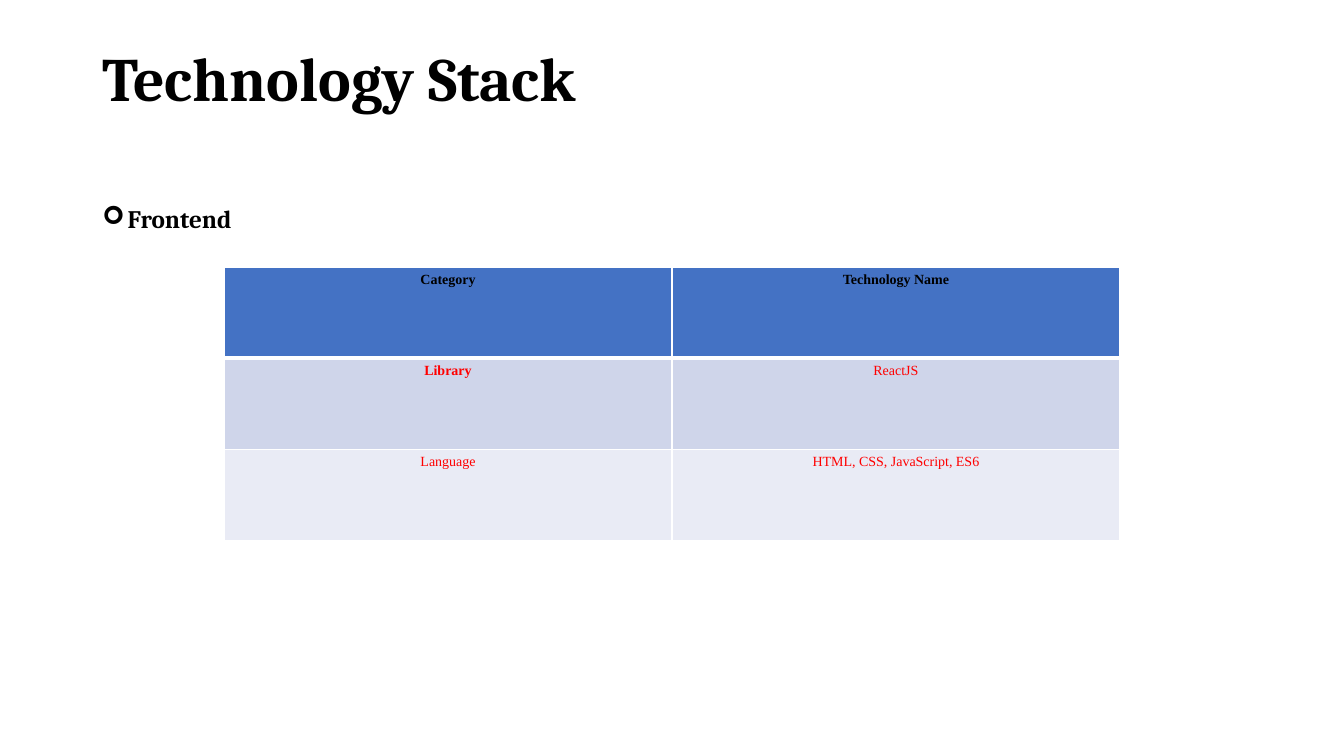
"""Build the Technology Stack slide with its frontend table."""
from lxml.etree import SubElement as Sub
from pptx import Presentation
from pptx.dml.color import RGBColor
from pptx.enum.text import MSO_ANCHOR as Anchor, MSO_AUTO_SIZE as Fit, PP_ALIGN as Align
from pptx.oxml.ns import qn
from pptx.util import Pt

TITLE = "Technology Stack"
TOPIC = "Frontend"
ROWS = [
    ("Category", "Technology Name"),
    ("Library", "ReactJS"),
    ("Language", "HTML, CSS, JavaScript, ES6"),
]
FILLS = ["4472C4", "CFD5EA", "E9EBF5"]
INKS = ["000000", "FF0000", "FF0000"]
BOLD = {"Category", "Technology Name", "Library"}

HEAD = (66, 28.8, 828, 104.4)
BODY = (66, 144, 828, 342.75)
GRID = (160, 190.8, 640, 195)
INSET = 2.9


def put(item, **vals):
    for key, val in vals.items():
        setattr(item, key, val)


def color(code):
    return RGBColor.from_string(code)


def place(shape, box):
    put(shape, **dict(zip(("left", "top", "width", "height"), map(Pt, box))))


def write(frame, text, name, size, ink, bold, **form):
    frame.text = text
    para = frame.paragraphs[0]
    put(para, space_before=Pt(0), **form)
    font = para.runs[0].font
    put(font, name=name, size=Pt(size), bold=bold)
    font.color.rgb = color(ink)
    return para


def edge(cell, side, width):
    line = Sub(cell._tc.get_or_add_tcPr(), qn(f"a:ln{side}"), w=str(Pt(width)))
    Sub(Sub(line, qn("a:solidFill")), qn("a:srgbClr"), val="FFFFFF")


def heads(slide):
    title, body = slide.shapes.title, slide.placeholders[1]
    place(title, HEAD)
    place(body, BODY)
    put(title.text_frame, auto_size=Fit.NONE, word_wrap=True,
        vertical_anchor=Anchor.TOP, margin_top=Pt(5.7))
    put(body.text_frame, auto_size=Fit.NONE, word_wrap=True, vertical_anchor=Anchor.TOP)
    form = dict(alignment=Align.LEFT, line_spacing=0.9)
    write(title.text_frame, TITLE, "Cambria", 44, "000000", True, **form)
    para = write(body.text_frame, TOPIC, "Cambria", 18, "000000", True, **form)
    props = para._p.get_or_add_pPr()
    props.set("marL", str(Pt(18)))
    props.set("indent", str(Pt(-18)))
    Sub(props, qn("a:buFont"), typeface="Wingdings")
    Sub(props, qn("a:buChar"), char="➢")


def stack(slide):
    table = slide.shapes.add_table(len(ROWS), len(ROWS[0]), *map(Pt, GRID)).table
    for r, row in enumerate(ROWS):
        for c, text in enumerate(row):
            cell = table.cell(r, c)
            for side in "LRTB":
                thick = (r, side) in ((0, "B"), (1, "T"))
                edge(cell, side, 3 if thick else 1)
            cell.fill.solid()
            cell.fill.fore_color.rgb = color(FILLS[r])
            put(cell, vertical_anchor=Anchor.TOP,
                **{f"margin_{s}": Pt(INSET) for s in ("left", "right", "top", "bottom")})
            write(cell.text_frame, text, "Times New Roman", 10, INKS[r], text in BOLD,
                  alignment=Align.CENTER, line_spacing=1.07, space_after=Pt(8))


def main():
    deck = Presentation()
    put(deck, slide_width=Pt(960), slide_height=Pt(540))
    slide = deck.slides.add_slide(deck.slide_layouts[1])
    heads(slide)
    stack(slide)
    deck.save("out.pptx")


if __name__ == "__main__":
    main()
